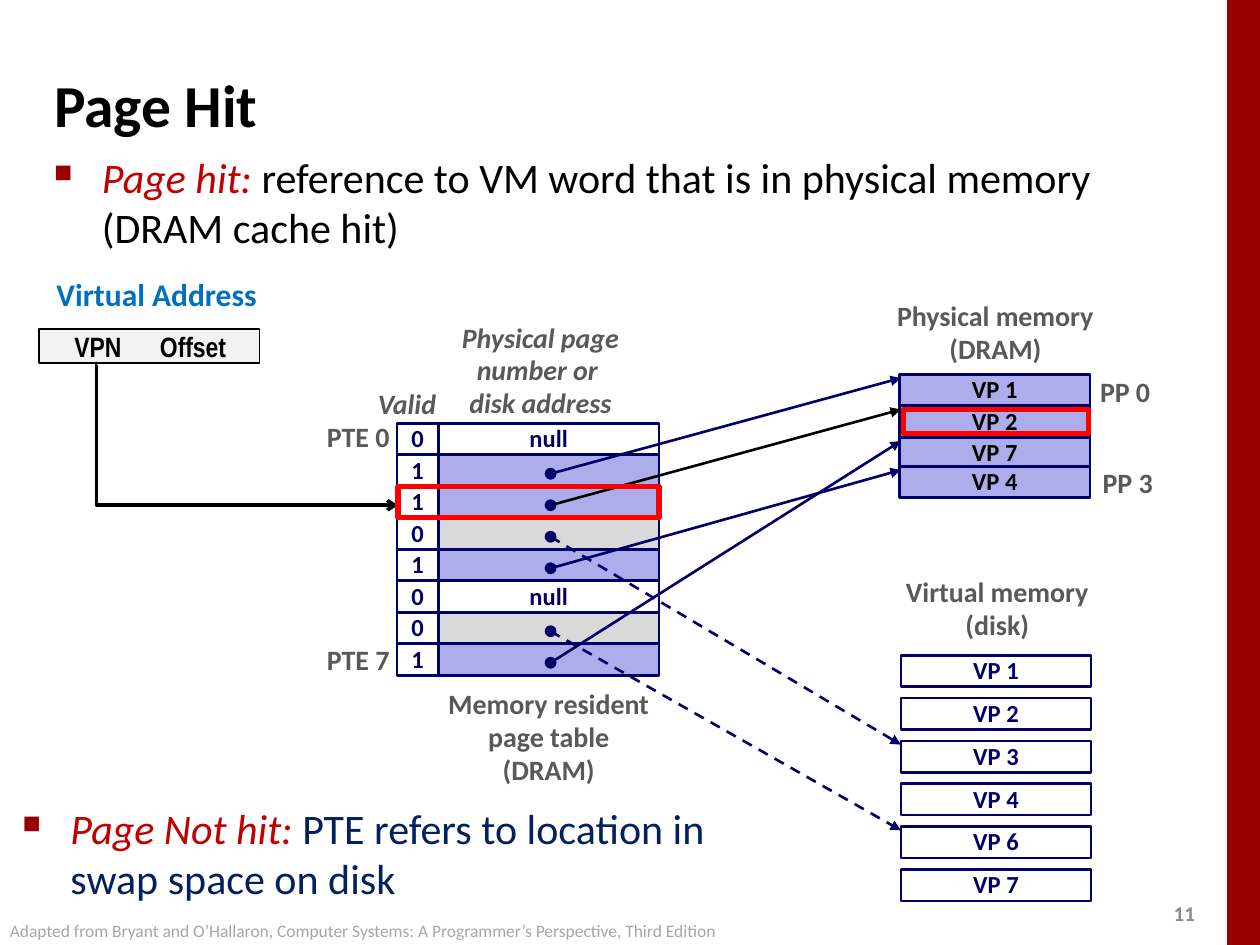
from dataclasses import dataclass

from lxml import etree
from pptx import Presentation
from pptx.dml.color import RGBColor
from pptx.enum.dml import MSO_LINE_DASH_STYLE as Dash
from pptx.enum.shapes import MSO_CONNECTOR as Link, MSO_SHAPE as Kind
from pptx.enum.text import MSO_ANCHOR as Anchor, PP_ALIGN as Align
from pptx.oxml.ns import qn
from pptx.util import Inches, Pt


@dataclass(frozen=True)
class Theme:
    font: str = "Calibri"
    narrow: str = "Arial Narrow"
    black: str = "000000"
    white: str = "FFFFFF"
    maroon: str = "990000"
    term: str = "C00000"
    frame: str = "FF0000"
    navy: str = "000066"
    note: str = "002060"
    blue: str = "0070C0"
    resident: str = "ADADEB"
    swapped: str = "D9D9D9"
    address: str = "F2F2F2"
    label: str = "595959"
    number: str = "898989"
    credit: str = "A6A6A6"
    title_size: float = 34
    body_size: float = 24
    heading_size: float = 18
    label_size: float = 16
    cell_size: float = 14
    number_size: float = 12
    credit_size: float = 10
    rule: float = 1.5


theme = Theme()
deck = Presentation()
deck.slide_width, deck.slide_height = Inches(10), Inches(7.5)
page = deck.slides.add_slide(deck.slide_layouts[5])


def put(place, lines=(), kind=Kind.RECTANGLE, fill=None, line=None, weight=theme.rule,
        size=theme.cell_size, color=theme.navy, font=theme.font, bold=True, italic=False,
        align=Align.CENTER, anchor=Anchor.MIDDLE, wrap=False, spacing=0.98):
    """Add a box; each line of text is a list of (text, changes) runs or a plain string."""
    place = [Inches(length) for length in place]
    if fill or line:
        box = page.shapes.add_shape(kind, *place)
        box.shadow.inherit = False
        if fill:
            box.fill.solid()
            box.fill.fore_color.rgb = RGBColor.from_string(fill)
        else:
            box.fill.background()
        if line:
            box.line.color.rgb = RGBColor.from_string(line)
            box.line.width = Pt(weight)
        else:
            box.line.fill.background()
    else:
        box = page.shapes.add_textbox(*place)
    frame = box.text_frame
    frame.word_wrap, frame.vertical_anchor = wrap, anchor
    for index, runs in enumerate(lines):
        para = frame.add_paragraph() if index else frame.paragraphs[0]
        para.alignment, para.line_spacing = align, spacing
        for text, look in [(runs, {})] if isinstance(runs, str) else runs:
            span = para.add_run()
            span.text = text
            span.font.name, span.font.size = font, Pt(size)
            span.font.bold, span.font.italic = bold, look.get("italic", italic)
            span.font.color.rgb = RGBColor.from_string(look.get("color", color))
    return box


def connect(start, end, color, weight=theme.rule, head="triangle", kind=Link.STRAIGHT):
    """Add a connector that ends in an arrowhead."""
    link = page.shapes.add_connector(kind, *[Inches(length) for length in (*start, *end)])
    link.line.color.rgb = RGBColor.from_string(color)
    link.line.width = Pt(weight)
    etree.SubElement(link.line._get_or_add_ln(), qn("a:tailEnd"), type=head)
    etree.SubElement(link._element.spPr, qn("a:effectLst"))
    return link


# Side band and title
put((9.74, 0, 0.26, 7.5), fill=theme.maroon)
title = page.shapes.title
title.left, title.top, title.width, title.height = map(Inches, (0.33, 0.39, 9.06, 0.86))
title.text_frame.vertical_anchor = Anchor.MIDDLE
para = title.text_frame.paragraphs[0]
para.alignment = Align.LEFT
span = para.add_run()
span.text = "Page Hit"
span.font.name, span.font.size, span.font.bold = theme.font, Pt(theme.title_size), True
span.font.color.rgb = RGBColor.from_string(theme.black)

# Bulleted statements
for place, term, meaning, color in (
    ((0.33, 1.15, 9.09, 0.66), "Page hit: ",
     "reference to VM word that is in physical memory (DRAM cache hit)", theme.black),
    ((0.08, 6.32, 5.71, 0.66), "Page Not hit: ",
     "PTE refers to location in swap space on disk", theme.note),
):
    runs = [(term, {"color": theme.term, "italic": True}), (meaning, {"color": color})]
    box = put(place, [runs], size=theme.body_size, bold=False, align=Align.LEFT,
              anchor=Anchor.TOP, wrap=True, spacing=1.0)
    para = box.text_frame.paragraphs[0]
    para.space_before = Pt(0.2 * theme.body_size)
    props = para._p.get_or_add_pPr()
    props.set("marL", str(Inches(0.38)))
    props.set("indent", str(-Inches(0.38)))
    bullet_color = etree.SubElement(props, qn("a:buClr"))
    etree.SubElement(bullet_color, qn("a:srgbClr"), val=theme.maroon)
    etree.SubElement(props, qn("a:buSzPct"), val="60000")
    etree.SubElement(props, qn("a:buChar"), char="■")

# Grid shared by the page table and both memories
row, table_top, valid_left, entry_left = 0.25, 3.36, 3.15, 3.48
valid_width, entry_width, page_width = 0.33, 1.75, 1.51
dram_left, disk_left, disk_top, disk_step = 7.14, 7.15, 5.2, 0.34

# Pages in memory and on disk, with the heights that arrows point at
targets = {}
for name, top in zip(("VP 1", "VP 2", "VP 7", "VP 4"), (2.97, 3.22, 3.47, 3.7)):
    put((dram_left, top, page_width, row), [name], fill=theme.resident, line=theme.navy,
        color=theme.black)
    targets["DRAM", name] = top + 0.03
for index, name in enumerate(("VP 1", "VP 2", "VP 3", "VP 4", "VP 6", "VP 7")):
    top = disk_top + index * disk_step
    put((disk_left, top, page_width, row), [name], fill=theme.white, line=theme.navy)
    targets["disk", name] = top + 0.03

# Page table: valid bit and the page that each entry refers to
entries = (("0", None), ("1", "VP 1"), ("1", "VP 2"), ("0", "VP 3"),
           ("1", "VP 4"), ("0", None), ("0", "VP 6"), ("1", "VP 7"))
for index, (valid, name) in enumerate(entries):
    top = table_top + index * row
    shade = theme.resident if valid == "1" else theme.swapped if name else theme.white
    put((entry_left, top, entry_width, row), [] if name else ["null"], fill=shade,
        line=theme.navy)
    put((valid_left, top, valid_width, row), [valid], line=theme.navy)

# Arrows from the entries to their pages
dot, dot_x = 0.08, 4.37
for index, (valid, name) in enumerate(entries):
    if name:
        dot_y = table_top + index * row + 0.15
        store = "DRAM" if valid == "1" else "disk"
        link = connect((dot_x, dot_y), (disk_left, targets[store, name]),
                       theme.black if name == "VP 2" else theme.navy)
        if store == "disk":
            link.line.dash_style = Dash.DASH
        put((dot_x - dot / 2, dot_y - dot / 2, dot, dot), kind=Kind.OVAL,
            fill=theme.navy, line=theme.navy, weight=1)

# Captions
for place, lines, align, italic in (
    ((3.43, 5.41, 1.85, 0.89), ["Memory resident", "page table", "(DRAM)"], Align.CENTER, False),
    ((7.01, 2.33, 1.78, 0.63), ["Physical memory", "(DRAM)"], Align.CENTER, False),
    ((7.07, 4.52, 1.69, 0.63), ["Virtual memory", "(disk)"], Align.CENTER, False),
    ((3.56, 2.5, 1.46, 0.89), ["Physical page", "number or ", "disk address"], Align.CENTER, True),
    ((2.9, 3.03, 0.75, 0.37), ["Valid"], Align.LEFT, True),
    ((2.49, 3.29, 0.7, 0.37), ["PTE 0"], Align.RIGHT, False),
    ((2.49, 5.06, 0.7, 0.37), ["PTE 7"], Align.RIGHT, False),
    ((8.63, 2.93, 0.6, 0.37), ["PP 0"], Align.CENTER, False),
    ((8.65, 3.65, 0.6, 0.37), ["PP 3"], Align.CENTER, False),
):
    put(place, lines, size=theme.label_size, color=theme.label, align=align, italic=italic)

# Virtual address and its path to the page table
put((0.35, 2.13, 1.8, 0.4), ["Virtual Address"], size=theme.heading_size, color=theme.blue,
    align=Align.LEFT, spacing=1.0)
address = put((0.31, 2.61, 1.75, 0.27), ["VPN\tOffset"], fill=theme.address, line=theme.black,
              weight=1, size=theme.label_size, color=theme.black, font=theme.narrow,
              align=Align.LEFT, wrap=True, spacing=1.0)
address.text_frame.margin_left = Inches(0.28)
address.text_frame.margin_right = 0
tabs = etree.SubElement(address.text_frame.paragraphs[0]._p.get_or_add_pPr(), qn("a:tabLst"))
etree.SubElement(tabs, qn("a:tab"), pos=str(Inches(0.68)), algn="l")
lookup = connect((0.75, 2.9), (3.16, 4.01), theme.black, 2, "arrow", Link.ELBOW)
bend = lookup._element.spPr.find(qn("a:prstGeom")).get_or_add_avLst()
etree.SubElement(bend, qn("a:gd"), name="adj1", fmla="val 700")

# Frames around the hit
for place in ((7.17, 3.25, 1.47, 0.19), (3.16, table_top + 2 * row, 2.07, row)):
    put(place, line=theme.frame, weight=3)

# Footer
put((-0.02, 7.25, 5.95, 0.27),
    ["Adapted from Bryant and O’Hallaron, Computer Systems: "
     "A Programmer’s Perspective, Third Edition"],
    size=theme.credit_size, color=theme.credit, bold=False, align=Align.LEFT, spacing=1.0)
put((9.2, 7.1, 0.4, 0.3), ["11"], size=theme.number_size, color=theme.number, spacing=1.0)

deck.save("out.pptx")
